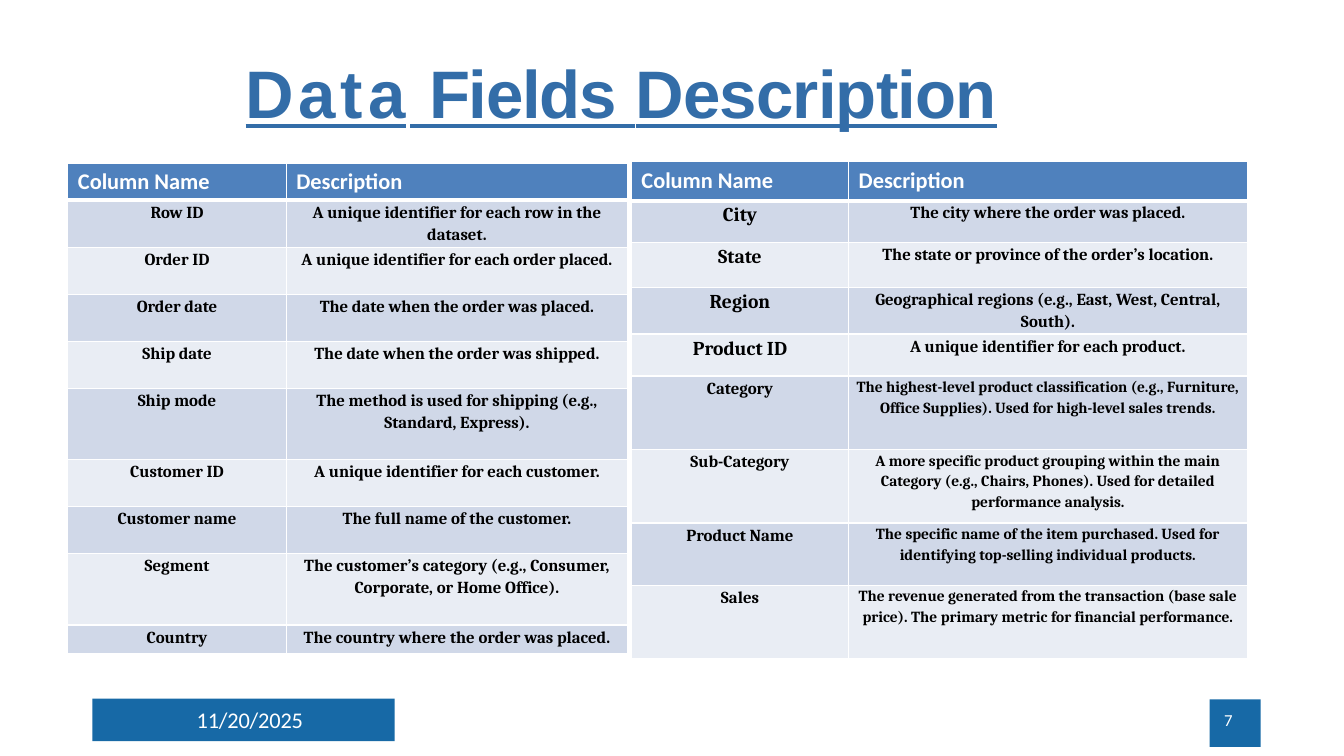
from dataclasses import dataclass

import lxml.etree
import pptx
import pptx.dml.color
import pptx.enum.shapes
import pptx.enum.text
import pptx.oxml.ns
import pptx.presentation
import pptx.slide
import pptx.table
import pptx.text.text
import pptx.util

Pt = pptx.util.Pt
CENTER = pptx.enum.text.PP_ALIGN.CENTER
WHITE = "FFFFFF"
BADGE_BLUE = "1769A6"
TITLE_BLUE = "336DA8"
HEADER_BLUE = "4F81BD"
BAND_FILLS = ("D0D8E8", "E9EDF4")


@dataclass
class Field:
    name: str
    description: str
    height: float
    name_size: float = 12
    description_size: float = 12


@dataclass
class FieldTable:
    left: float
    top: float
    widths: tuple[float, float]
    header_height: float
    fields: list[Field]


@dataclass
class Badge:
    box: tuple[float, float, float, float]
    text_box: tuple[float, float, float, float]
    text: str
    size: float
    line_spacing: float
    spacing: float


FIELD_TABLES = [
    FieldTable(48.5, 116.5, (156, 244), 26, [
        Field("Row ID", "A unique identifier for each row in the dataset.", 33.6),
        Field("Order ID", "A unique identifier for each order placed.", 33.6),
        Field("Order date", "The date when the order was placed.", 33.6),
        Field("Ship date", "The date when the order was shipped.", 33.6),
        Field("Ship mode", "The method is used for shipping (e.g., Standard, Express).", 51),
        Field("Customer ID", "A unique identifier for each customer.", 33.6),
        Field("Customer name", "The full name of the customer.", 33.6),
        Field("Segment", "The customer’s category (e.g., Consumer, Corporate, or Home Office).", 51),
        Field("Country", "The country where the order was placed.", 20.6),
    ]),
    FieldTable(451, 115.5, (155.2, 284.8), 28, [
        Field("City", "The city where the order was placed.", 30, 14),
        Field("State", "The state or province of the order’s location.", 32, 14),
        Field("Region", "Geographical regions (e.g., East, West, Central, South).", 32, 14),
        Field("Product ID", "A unique identifier for each product.", 30, 14),
        Field("Category", "The highest-level product classification (e.g., Furniture, Office Supplies). "
              "Used for high-level sales trends.", 52.5, 12, 11),
        Field("Sub-Category", "A more specific product grouping within the main Category "
              "(e.g., Chairs, Phones). Used for detailed performance analysis.", 52.5, 12, 11),
        Field("Product Name", "The specific name of the item purchased. "
              "Used for identifying top-selling individual products.", 44.5, 12, 11),
        Field("Sales", "The revenue generated from the transaction (base sale price). "
              "The primary metric for financial performance.", 52.5, 12, 11),
    ]),
]

BADGES = [
    Badge((66, 499, 216, 30.5), (139.5, 507.5, 86, 16.5), "11/20/2025", 16, 16.2, -0.1),
    Badge((864, 499.5, 36.5, 34), (873.5, 509, 17, 14.5), "7", 12, 12.4, -0.2),
]

TITLE_RUNS = [("Data", 3.4), (" ", -2.4), ("Fields", -0.9), (" ", -2.3), ("Description", -0.6)]


def rgb(value: str) -> pptx.dml.color.RGBColor:
    return pptx.dml.color.RGBColor.from_string(value)


def add_text(paragraph: pptx.text.text._Paragraph, text: str, *, size: float, font: str,
             color: str, bold: bool = False, underline: bool = False, spacing: float = 0) -> None:
    run = paragraph.add_run()
    run.text = text
    run.font.size = Pt(size)
    run.font.name = font
    run.font.color.rgb = rgb(color)
    run.font.bold = bold
    run.font.underline = underline
    if spacing:
        run._r.get_or_add_rPr().set("spc", str(round(spacing * 100)))


def add_text_box(slide: pptx.slide.Slide, box: tuple[float, float, float, float],
                 margin_top: float = 0) -> pptx.text.text._Paragraph:
    frame = slide.shapes.add_textbox(*map(Pt, box)).text_frame
    frame.word_wrap = True
    frame.margin_left = frame.margin_right = frame.margin_bottom = 0
    frame.margin_top = Pt(margin_top)
    paragraph = frame.paragraphs[0]
    paragraph._p.get_or_add_pPr().set("marL", str(Pt(1)))
    return paragraph


def add_badge(slide: pptx.slide.Slide, badge: Badge) -> None:
    shape = slide.shapes.add_shape(pptx.enum.shapes.MSO_SHAPE.RECTANGLE, *map(Pt, badge.box))
    shape.shadow.inherit = False
    shape.fill.solid()
    shape.fill.fore_color.rgb = rgb(BADGE_BLUE)
    shape.line.fill.background()
    paragraph = add_text_box(slide, badge.text_box)
    paragraph.line_spacing = Pt(badge.line_spacing)
    add_text(paragraph, badge.text, size=badge.size, font="Calibri", color=WHITE,
             spacing=badge.spacing)


def style_cell(cell: pptx.table._Cell, fill: str, top: float = 1, bottom: float = 1) -> None:
    properties = cell._tc.get_or_add_tcPr()
    qn = pptx.oxml.ns.qn
    for side, width in (("L", 1), ("R", 1), ("T", top), ("B", bottom)):
        line = lxml.etree.SubElement(properties, qn(f"a:ln{side}"), w=str(Pt(width)))
        solid = lxml.etree.SubElement(line, qn("a:solidFill"))
        lxml.etree.SubElement(solid, qn("a:srgbClr"), val=WHITE)
    cell.fill.solid()
    cell.fill.fore_color.rgb = rgb(fill)


def add_field_table(slide: pptx.slide.Slide, layout: FieldTable) -> None:
    heights = [layout.header_height, *(field.height for field in layout.fields)]
    table = slide.shapes.add_table(len(heights), 2, Pt(layout.left), Pt(layout.top),
                                   Pt(sum(layout.widths)), Pt(sum(heights))).table
    for column, width in zip(table.columns, layout.widths):
        column.width = Pt(width)
    for row, height in zip(table.rows, heights):
        row.height = Pt(height)
    for column, heading in enumerate(("Column Name", "Description")):
        cell = table.cell(0, column)
        style_cell(cell, HEADER_BLUE, bottom=3)
        add_text(cell.text_frame.paragraphs[0], heading, size=16, font="Calibri",
                 color=WHITE, bold=True)
    for index, field in enumerate(layout.fields):
        contents = ((field.name, field.name_size), (field.description, field.description_size))
        for column, (text, size) in enumerate(contents):
            cell = table.cell(index + 1, column)
            style_cell(cell, BAND_FILLS[index % 2], top=1 if index else 3)
            cell.margin_left = cell.margin_right = Pt(5)
            cell.margin_top = cell.margin_bottom = 0
            paragraph = cell.text_frame.paragraphs[0]
            paragraph.alignment = CENTER
            paragraph.line_spacing = 1.15
            paragraph.space_after = Pt(8)
            add_text(paragraph, text, size=size, font="Cambria", color="000000", bold=True)


def add_title(slide: pptx.slide.Slide) -> None:
    paragraph = add_text_box(slide, (174.5, 36, 666, 59), margin_top=1)
    for text, spacing in TITLE_RUNS:
        add_text(paragraph, text, size=48, font="Arial", color=TITLE_BLUE, bold=True,
                 underline=True, spacing=spacing)


def main() -> None:
    presentation = pptx.Presentation()
    presentation.slide_width = Pt(960)
    presentation.slide_height = Pt(540)
    slide = presentation.slides.add_slide(presentation.slide_layouts[6])
    for badge in BADGES:
        add_badge(slide, badge)
    add_title(slide)
    for layout in FIELD_TABLES:
        add_field_table(slide, layout)
    presentation.save("out.pptx")


if __name__ == "__main__":
    main()
